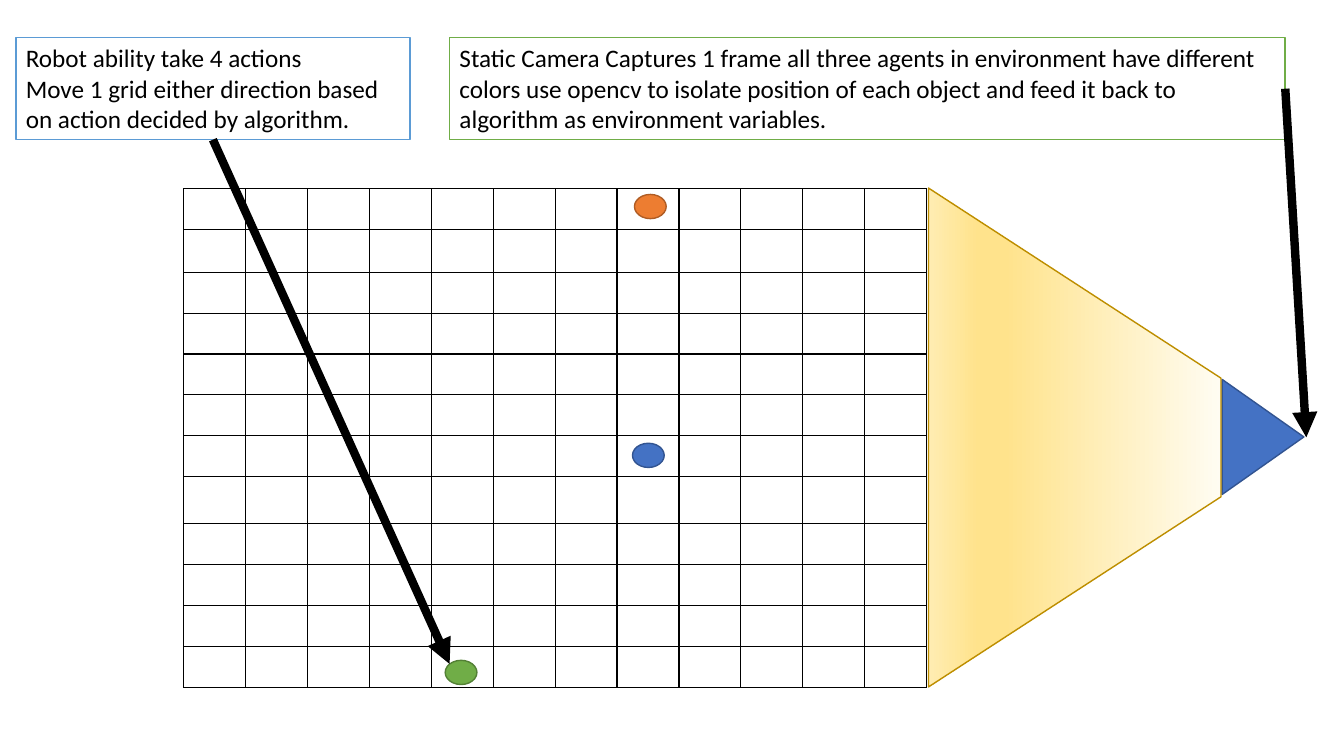
from dataclasses import dataclass

from pptx import Presentation
from pptx.dml.color import RGBColor
from pptx.enum.shapes import MSO_CONNECTOR, MSO_SHAPE
from pptx.enum.text import MSO_AUTO_SIZE
from pptx.oxml.ns import qn
from pptx.oxml.xmlchemy import OxmlElement
from pptx.util import Cm, Pt

ELLIPSE = MSO_SHAPE.OVAL
TRAPEZOID = MSO_SHAPE.TRAPEZOID
MERGE = MSO_SHAPE.FLOWCHART_MERGE
STRAIGHT = MSO_CONNECTOR.STRAIGHT
GROW = MSO_AUTO_SIZE.SHAPE_TO_FIT_TEXT
BOTTOM, RIGHT = 2, 3


@dataclass(frozen=True)
class Theme:
    font: str = "Calibri"
    text_size: int = 18
    black: str = "000000"
    white: str = "FFFFFF"
    orange: str = "ED7D31"
    orange_edge: str = "AF5C24"
    blue: str = "4472C4"
    blue_edge: str = "325491"
    green: str = "70AD47"
    green_edge: str = "538035"
    sky: str = "5B9BD5"
    beam_edge: str = "BD8E00"
    beam: tuple = ((0, "FFFCF2"), (74, "FFE38C"), (83, "FFE38C"), (100, "FFECB2"))


THEME = Theme()


def rgb(color):
    return RGBColor.from_string(color)


def add_xml(parent, tag, **attributes):
    child = OxmlElement(tag)
    for name, value in attributes.items():
        child.set(name, str(value))
    parent.append(child)
    return child


def set_line(shape, color, width=1):
    shape.line.color.rgb = rgb(color)
    shape.line.width = Pt(width)


def add_grid(s, left, top, col_width, row_heights, cols):
    """Add an empty square-ruled table with thin black borders."""
    frame = s.shapes.add_table(len(row_heights), cols, Cm(left), Cm(top),
                               Cm(col_width * cols), Cm(sum(row_heights)))
    table = frame.table
    table.first_row = table.horz_banding = False
    for column in table.columns:
        column.width = Cm(col_width)
    for row, height in zip(table.rows, row_heights):
        row.height = Cm(height)
    for cell in table.iter_cells():
        tc_pr = cell._tc.get_or_add_tcPr()
        for side in "LRTB":
            border = add_xml(tc_pr, f"a:ln{side}", w=Pt(1))
            add_xml(add_xml(border, "a:solidFill"), "a:srgbClr", val=THEME.black)
        cell.fill.background()


def add_figure(s, kind, left, top, width, height, edge, fill=None, rotation=0):
    sp = s.shapes.add_shape(kind, Cm(left), Cm(top), Cm(width), Cm(height))
    sp.shadow.inherit = False
    sp.rotation = rotation
    if fill:
        sp.fill.solid()
        sp.fill.fore_color.rgb = rgb(fill)
    set_line(sp, edge)
    return sp


def add_agent(s, left, top, fill, edge):
    add_figure(s, ELLIPSE, left, top, 0.8, 0.61, edge, fill)


def add_beam(s, left, top, width, height):
    """Add the camera's field of view, fading towards the lens."""
    sp = add_figure(s, TRAPEZOID, left, top, width, height, THEME.beam_edge, rotation=90)
    sp.adjustments[0] = 0.65
    sp.fill.gradient()
    sp.fill.gradient_angle = 270
    stops = sp._element.spPr.find(".//" + qn("a:gsLst"))
    for stop in list(stops):
        stops.remove(stop)
    for position, color in THEME.beam:
        add_xml(add_xml(stops, "a:gs", pos=position * 1000), "a:srgbClr", val=color)


def add_note(s, left, top, width, height, text, edge):
    sp = s.shapes.add_textbox(Cm(left), Cm(top), Cm(width), Cm(height))
    sp.fill.solid()
    sp.fill.fore_color.rgb = rgb(THEME.white)
    set_line(sp, edge)
    tf = sp.text_frame
    tf.word_wrap = True
    tf.auto_size = GROW
    tf.text = text
    for p in tf.paragraphs:
        for r in p.runs:
            r.font.name = THEME.font
            r.font.size = Pt(THEME.text_size)
            r.font.color.rgb = rgb(THEME.black)
    return sp


def add_arrow(s, note, side, end_x, end_y):
    """Add a heavy arrow from the middle of a note's side to a point."""
    arrow = s.shapes.add_connector(STRAIGHT, 0, 0, Cm(end_x), Cm(end_y))
    arrow.begin_connect(note, side)
    set_line(arrow, THEME.black, 6)
    add_xml(arrow.line._get_or_add_ln(), "a:tailEnd", type="triangle")
    add_xml(arrow._element.spPr, "a:effectLst")


def main():
    prs = Presentation()
    prs.slide_width, prs.slide_height = Cm(33.87), Cm(19.05)
    s = prs.slides.add_slide(prs.slide_layouts[6])

    # Environment grid: two rows are a little taller than the rest
    row_heights = [1.03] * 12
    row_heights[1], row_heights[7] = 1.07, 1.19
    add_grid(s, 4.63, 4.76, 1.56, row_heights, cols=12)

    # Three agents
    add_agent(s, 15.99, 4.9, THEME.orange, THEME.orange_edge)
    add_agent(s, 15.94, 11.17, THEME.blue, THEME.blue_edge)
    add_agent(s, 11.22, 16.64, THEME.green, THEME.green_edge)

    # Robot note and its arrow, with the camera between them
    robot = add_note(s, 0.4, 0.95, 9.93, 2.57,
                     "Robot ability take 4 actions\n"
                     "Move 1 grid either direction based on action decided by algorithm.",
                     THEME.sky)
    add_figure(s, MERGE, 30.38, 9.98, 2.9, 2.06, THEME.blue_edge, THEME.blue, rotation=270)
    add_arrow(s, robot, BOTTOM, 11.33, 16.73)

    # Camera note, its arrow and the field of view
    camera = add_note(s, 11.33, 0.95, 21.06, 2.57,
                      "Static Camera Captures 1 frame all three agents in environment have "
                      "different colors use opencv to isolate position of each object and "
                      "feed it back to algorithm as environment variables.",
                      THEME.green)
    add_arrow(s, camera, RIGHT, 32.92, 11.02)
    add_beam(s, 20.8, 7.34, 12.57, 7.37)

    prs.save("out.pptx")


if __name__ == "__main__":
    main()
